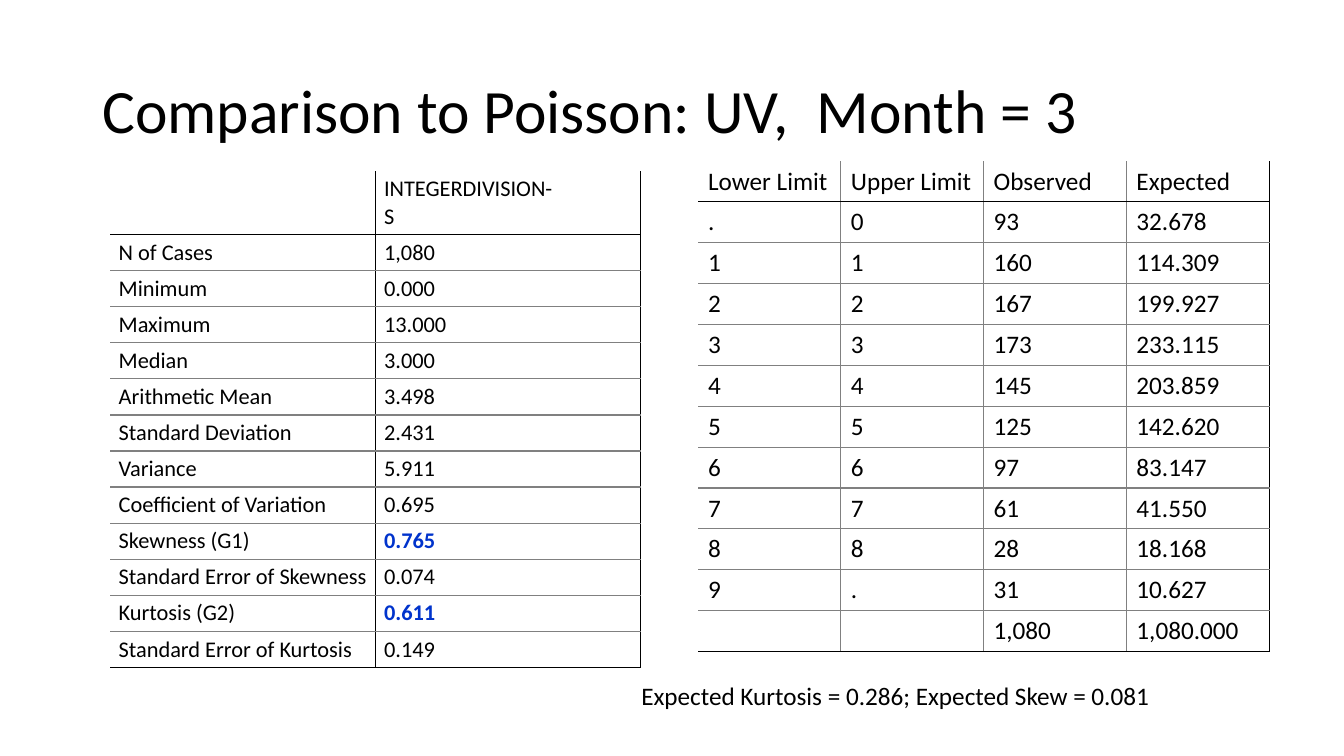
from copy import deepcopy
from dataclasses import dataclass

from lxml import etree
from pptx import Presentation
from pptx.dml.color import RGBColor
from pptx.enum import text as t
from pptx.oxml.ns import qn
from pptx.util import Pt

BLACK, GREY, BLUE = "000000", "808080", "0033CC"
FONT = "Calibri"


@dataclass
class TableSpec:
    left: float
    top: float
    col_width: float
    header_height: float
    row_height: float
    size: float
    inset_x: float
    inset_y: float
    divider: str
    rows: list[tuple[str, ...]]
    highlights: tuple[str, ...] = ()


def color(value: str) -> RGBColor:
    return RGBColor.from_string(value)


def style_text(tf, size: float, hue: str = BLACK, bold: bool = False) -> None:
    fmt = {"name": FONT, "size": Pt(size), "bold": bold}
    for p in tf.paragraphs:
        for r in p.runs:
            for key, value in fmt.items():
                setattr(r.font, key, value)
            r.font.color.rgb = color(hue)
        # Line breaks take the format of the text around them
        for br in p._p.findall(qn("a:br")):
            br.insert(0, deepcopy(p.runs[0]._r.rPr))


def add_border(cell, side: str, hue: str | None) -> None:
    ln = etree.SubElement(cell._tc.get_or_add_tcPr(), qn(f"a:ln{side}"), w=str(Pt(1)))
    if hue is None:
        etree.SubElement(ln, qn("a:noFill"))
    else:
        fill = etree.SubElement(ln, qn("a:solidFill"))
        etree.SubElement(fill, qn("a:srgbClr"), val=hue)


def draw_table(s, spec: TableSpec) -> None:
    n_rows, n_cols = len(spec.rows), len(spec.rows[0])
    heights = [spec.header_height] + [spec.row_height] * (n_rows - 1)
    table = s.shapes.add_table(
        n_rows, n_cols, Pt(spec.left), Pt(spec.top),
        Pt(spec.col_width * n_cols), Pt(sum(heights))).table
    table.first_row = table.horz_banding = False
    for col in table.columns:
        col.width = Pt(spec.col_width)
    for i, values in enumerate(spec.rows):
        table.rows[i].height = Pt(heights[i])
        for j, value in enumerate(values):
            cell = table.cell(i, j)
            margins = {"margin_left": spec.inset_x, "margin_right": spec.inset_x,
                       "margin_top": spec.inset_y, "margin_bottom": spec.inset_y}
            for key, margin in margins.items():
                setattr(cell, key, Pt(margin))
            if value:
                marked = value in spec.highlights
                cell.text_frame.text = value
                style_text(cell.text_frame, spec.size, BLUE if marked else BLACK, marked)
            borders = {
                "L": spec.divider if j else None,
                "R": BLACK if j == n_cols - 1 else spec.divider,
                "T": (None, BLACK, GREY)[min(i, 2)],
                "B": BLACK if i in (0, n_rows - 1) else GREY,
            }
            for side, hue in borders.items():
                add_border(cell, side, hue)
            cell.fill.background()


STATISTICS = TableSpec(
    78.6, 122.2, 189.6, 45.3, 25.75, 16, 6.2, 3.1, BLACK,
    [
        ("", "INTEGERDIVISION-\vS"),
        ("N of Cases", "1,080"),
        ("Minimum", "0.000"),
        ("Maximum", "13.000"),
        ("Median", "3.000"),
        ("Arithmetic Mean", "3.498"),
        ("Standard Deviation", "2.431"),
        ("Variance", "5.911"),
        ("Coefficient of Variation", "0.695"),
        ("Skewness (G1)", "0.765"),
        ("Standard Error of Skewness", "0.074"),
        ("Kurtosis (G2)", "0.611"),
        ("Standard Error of Kurtosis", "0.149"),
    ],
    highlights=("0.765", "0.611"),
)

FREQUENCIES = TableSpec(
    498.6, 115, 102, 29.1, 29.1, 18, 7.2, 3.6, GREY,
    [
        ("Lower Limit", "Upper Limit", "Observed", "Expected"),
        (".", "0", "93", "32.678"),
        ("1", "1", "160", "114.309"),
        ("2", "2", "167", "199.927"),
        ("3", "3", "173", "233.115"),
        ("4", "4", "145", "203.859"),
        ("5", "5", "125", "142.620"),
        ("6", "6", "97", "83.147"),
        ("7", "7", "61", "41.550"),
        ("8", "8", "28", "18.168"),
        ("9", ".", "31", "10.627"),
        ("", "", "1,080", "1,080.000"),
    ],
)


def main() -> None:
    prs = Presentation()
    prs.slide_width, prs.slide_height = Pt(960), Pt(540)
    s = prs.slides.add_slide(prs.slide_layouts[5])

    # Title
    title = s.shapes.title
    title.left, title.top, title.width, title.height = Pt(66), Pt(28.75), Pt(828), Pt(104.4)
    tf = title.text_frame
    tf.text = "Comparison to Poisson: UV,  Month = 3"
    tf.auto_size = t.MSO_AUTO_SIZE.NONE
    tf.vertical_anchor = t.MSO_ANCHOR.MIDDLE
    tf.paragraphs[0].alignment = t.PP_ALIGN.LEFT
    tf.paragraphs[0].line_spacing = 0.9
    style_text(tf, 44)

    # Tables
    for spec in (STATISTICS, FREQUENCIES):
        draw_table(s, spec)

    # Expected values
    tf = s.shapes.add_textbox(Pt(451), Pt(482.7), Pt(381.6), Pt(29)).text_frame
    tf.text = "Expected Kurtosis = 0.286; Expected Skew = 0.081"
    tf.word_wrap = False
    tf.auto_size = t.MSO_AUTO_SIZE.SHAPE_TO_FIT_TEXT
    style_text(tf, 18)

    prs.save("out.pptx")


if __name__ == "__main__":
    main()
